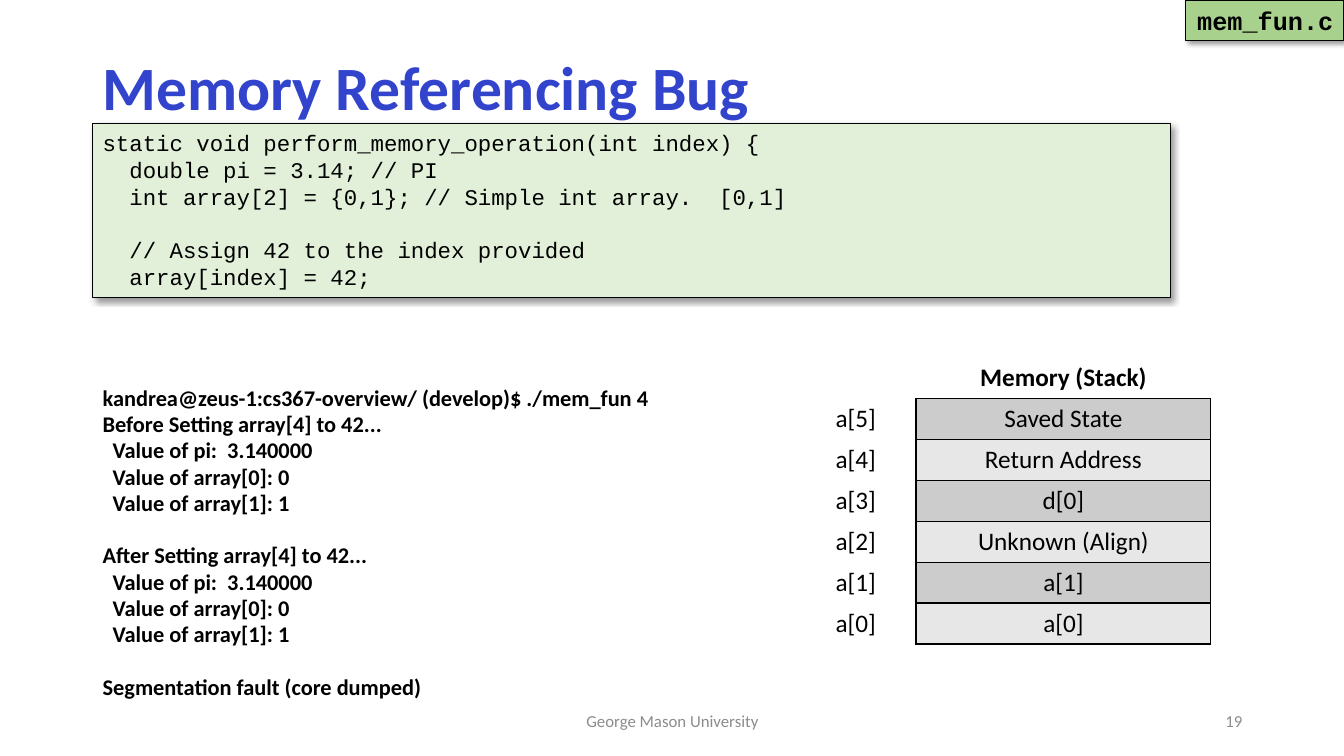
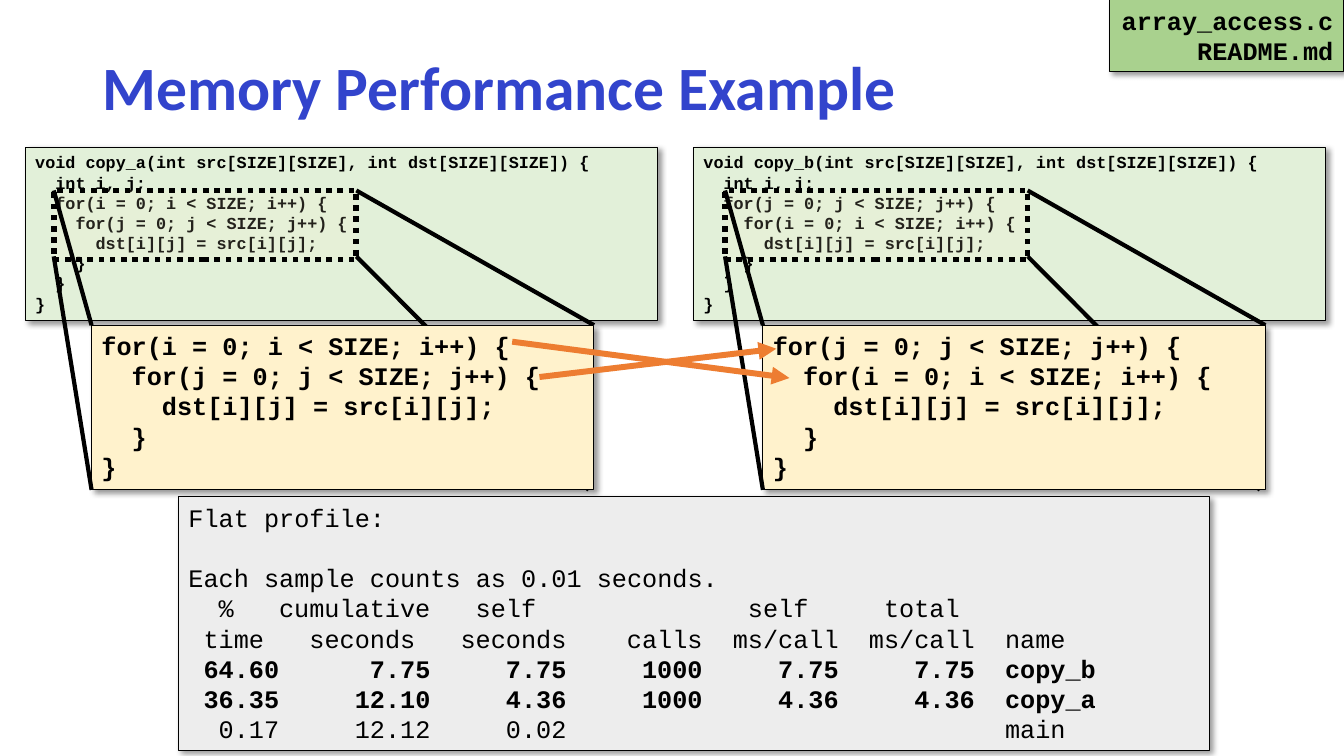
from collections import namedtuple

from lxml.etree import SubElement
from pptx import Presentation
from pptx.dml.color import RGBColor
from pptx.enum.dml import MSO_LINE
from pptx.enum.shapes import MSO_CONNECTOR, MSO_SHAPE
from pptx.enum.text import MSO_ANCHOR, PP_ALIGN
from pptx.oxml.ns import qn
from pptx.util import Inches, Pt

WIDE, HIGH = Inches(13.33), Inches(7.5)
INK = {
    "title": "3244CC", "text": "000000", "foot": "8C8C8C", "line": "000000",
    "tag": "A9D18E", "code": "E2F0D9", "zoom": "FFF2CC", "prof": "EDEDED",
    "arrow": "ED7D31", "dark": "CCCCCC", "light": "E7E7E7", "white": "FFFFFF",
}
SANS, MONO = "Calibri", "Courier New"
CHAR = Inches(0.15)  # width of one 18 pt code character
LEAD = 1.2  # code line pitch per point of size


class Box(namedtuple("Box", "x y w h")):
    """A region in percent of the slide."""

    def emu(self):
        return (round(WIDE * self.x / 100), round(HIGH * self.y / 100),
                round(WIDE * self.w / 100), round(HIGH * self.h / 100))

    def at(self, x, y):
        return self.x + self.w * x, self.y + self.h * y

    def crop(self, x, y, w, h):
        return Box(*self.at(x, y), self.w * w, self.h * h)


TITLE = Box(6.9, 5.33, 86.25, 13.2)
FOOT = Box(33.16, 92.67, 33.76, 5.33)
PAGE = Box(70.67, 92.67, 22.5, 5.33)


def tint(name):
    return RGBColor.from_string(INK[name])


def add_run(par, text, size, font=SANS, color="text", bold=False):
    run = par.add_run()
    run.text = text
    run.font.size = Pt(size)
    run.font.name = font
    run.font.bold = bold
    run.font.color.rgb = tint(color)


def next_par(frame, first):
    return frame.paragraphs[0] if first else frame.add_paragraph()


def add_text(slide, box, anchor=MSO_ANCHOR.TOP):
    frame = slide.shapes.add_textbox(*box.emu()).text_frame
    frame.word_wrap = True
    frame.vertical_anchor = anchor
    return frame


def add_label(slide, box, text, size, color, align, bold=False):
    par = add_text(slide, box, MSO_ANCHOR.MIDDLE).paragraphs[0]
    par.alignment = align
    add_run(par, text, size, color=color, bold=bold)
    return par


def add_title(slide, text):
    par = add_label(slide, TITLE, text, 44, "title", PP_ALIGN.LEFT, True)
    par.line_spacing = 0.9


def add_foot(slide, text, page):
    add_label(slide, FOOT, text, 12, "foot", PP_ALIGN.CENTER)
    add_label(slide, PAGE, page, 12, "foot", PP_ALIGN.RIGHT)


def add_panel(slide, box, fill):
    """Draw a framed box with a soft shadow and return its text frame."""
    shape = slide.shapes.add_shape(MSO_SHAPE.RECTANGLE, *box.emu())
    shape.fill.solid()
    shape.fill.fore_color.rgb = tint(fill)
    shape.line.color.rgb = tint("line")
    shape.line.width = Pt(0.75)
    shape.shadow.inherit = False
    glow = SubElement(
        shape._element.spPr.find(qn("a:effectLst")), qn("a:outerShdw"),
        blurRad=str(Pt(4)), dist=str(Pt(3)), dir="2700000",
        algn="tl", rotWithShape="0")
    shade = SubElement(glow, qn("a:srgbClr"), val=INK["line"])
    SubElement(shade, qn("a:alpha"), val="40000")
    frame = shape.text_frame
    frame.word_wrap = True
    frame.vertical_anchor = MSO_ANCHOR.TOP
    return frame


def add_code(frame, code, size, bold=False, align=PP_ALIGN.LEFT):
    """Write code lines; an empty line becomes space before the next."""
    gap = 0
    for num, line in enumerate(code.split("\n")):
        if not line:
            gap += LEAD * size
            continue
        par = next_par(frame, num == 0)
        par.alignment = align
        par.line_spacing = Pt(LEAD * size)
        par.space_before = Pt(gap)
        add_run(par, line, size, MONO, bold=bold)
        gap = 0


def add_tag(slide, names):
    wide = 1.55 + 1.13 * max(map(len, names))
    box = Box(99.95 - wide, 0, wide, 1.3 + 4.1 * len(names))
    frame = add_panel(slide, box, "tag")
    frame.word_wrap = False
    add_code(frame, "\n".join(names), 18, True, PP_ALIGN.RIGHT)


def add_log(slide, box, blocks):
    """Write blocks of output: a head line, then indented lines."""
    frame = add_text(slide, box)
    for num, lines in enumerate(blocks):
        for row, (line, deep) in enumerate(lines):
            par = next_par(frame, num + row == 0)
            par.line_spacing = 0.9
            if num + row:
                par.space_before = Pt(1.5 if row else 20.25)
            if deep:
                par._p.get_or_add_pPr().set("marL", str(Inches(0.1)))
            add_run(par, line, 16, bold=True)


def add_edge(cell, sides):
    props = cell._tc.get_or_add_tcPr()
    for side in sides:
        edge = SubElement(props, qn("a:ln" + side), w=str(Pt(1)))
        fill = SubElement(edge, qn("a:solidFill"))
        SubElement(fill, qn("a:srgbClr"), val=INK["line"])


def add_stack(slide, box, head, rows):
    grid = slide.shapes.add_table(len(rows) + 1, 2, *box.emu()).table
    grid.first_row = grid.horz_banding = False
    wide = box.emu()[2]
    grid.columns[0].width = round(wide * 0.29)
    grid.columns[1].width = wide - grid.columns[0].width
    for num, row in enumerate([("", head), *rows]):
        shade = ("light", "dark")[num % 2] if num else "white"
        edges = ("R", "LRTB") if num else ("", "B")
        for col, text in enumerate(row):
            cell = grid.cell(num, col)
            add_edge(cell, edges[col])
            cell.fill.solid()
            cell.fill.fore_color.rgb = tint(shade if col else "white")
            par = cell.text_frame.paragraphs[0]
            par.alignment = PP_ALIGN.CENTER
            if text:
                add_run(par, text, 18, bold=num == 0)


def add_line(slide, start, end, color="line", width=3, head=False):
    ends = [round(size * share / 100) for point in (start, end)
            for size, share in zip((WIDE, HIGH), point)]
    link = slide.shapes.add_connector(MSO_CONNECTOR.STRAIGHT, *ends)
    link.line.color.rgb = tint(color)
    link.line.width = Pt(width)
    if head:
        SubElement(link.line._get_or_add_ln(), qn("a:tailEnd"),
                   type="triangle")
    SubElement(link._element.spPr, qn("a:effectLst"))


def add_lens(slide, box):
    """Draw the dotted frame that marks the enlarged lines."""
    shape = slide.shapes.add_shape(MSO_SHAPE.RECTANGLE, *box.emu())
    shape.fill.solid()
    shape.fill.fore_color.rgb = tint("zoom")
    color = shape._element.spPr.find(qn("a:solidFill"))[0]
    SubElement(color, qn("a:alpha"), val="14000")
    shape.line.color.rgb = tint("line")
    shape.line.width = Pt(4)
    shape.line.dash_style = MSO_LINE.ROUND_DOT
    shape.shadow.inherit = False


def add_zoom(slide, box, code):
    left, top, lens, low = 0.07, 0.45, 0.56, 0.22
    add_line(slide, box.at(1, top), box.at(lens, 0))
    add_line(slide, box.at(0.99, 1), box.at(lens, low))
    add_lens(slide, box.crop(0, 0, lens, 0.23))
    frame = add_panel(slide, box.crop(left, top, 1 - left, 1 - top), "zoom")
    add_code(frame, code, 18, True)
    add_line(slide, box.at(left, top), box.at(0, 0))
    add_line(slide, box.at(left, 1), box.at(0, low))


def add_loops(slide, name, box, zoom, outer, inner):
    """Show one copy function and its enlarged loops."""
    loop = "for({0} = 0; {0} < SIZE; {0}++) {{"
    lines = [loop.format(outer), "  " + loop.format(inner),
             "    dst[i][j] = src[i][j];", "  }", "}"]
    head = f"void {name}(int src[SIZE][SIZE], int dst[SIZE][SIZE]) {{"
    body = ["  " + line for line in ["int i, j;", *lines]]
    add_code(add_panel(slide, box, "code"),
             "\n".join([head, *body, "}"]), 12, True)
    add_zoom(slide, zoom, "\n".join(lines))


def add_tabs(par, stops):
    tabs = SubElement(par._p.get_or_add_pPr(), qn("a:tabLst"))
    for stop, align in stops:
        SubElement(tabs, qn("a:tab"), pos=str(CHAR * stop), algn=align)


def add_prof(slide, box, intro, rows):
    """Write a profile whose cells end at given character columns."""
    frame = add_panel(slide, box, "prof")
    add_code(frame, intro, 18)
    for cells, ends, name, bold in rows:
        par = frame.add_paragraph()
        par.alignment = PP_ALIGN.LEFT
        stops = [(end, "r") for end in ends]
        if name:
            stops.append((54, "l"))
            cells = [*cells, name]
        add_tabs(par, stops)
        par.line_spacing = Pt(LEAD * 18)
        add_run(par, "".join("\t" + cell for cell in cells), 18, MONO,
                bold=bold)


BUG = """static void perform_memory_operation(int index) {
  double pi = 3.14; // PI
  int array[2] = {0,1}; // Simple int array.  [0,1]

  // Assign 42 to the index provided
  array[index] = 42;"""


def make_bug(slide):
    add_title(slide, "Memory Referencing Bug")
    vals = [(line, True) for line in (
        "Value of pi:  3.140000", "Value of array[0]: 0",
        "Value of array[1]: 1")]
    add_log(slide, Box(6.9, 50.53, 43.13, 45.33), [
        [("kandrea@zeus-1:cs367-overview/ (develop)$ ./mem_fun 4", False),
         ("Before Setting array[4] to 42...", False), *vals],
        [("After Setting array[4] to 42...", False), *vals],
        [("Segmentation fault (core dumped)", False)]])
    add_foot(slide, "George Mason University", "19")
    add_tag(slide, ["mem_fun.c"])
    add_code(add_panel(slide, Box(6.9, 16.4, 80.2, 22.93), "code"), BUG, 16)
    names = ["Saved State", "Return Address", "d[0]", "Unknown (Align)",
             "a[1]", "a[0]"]
    add_stack(slide, Box(59.19, 47.33, 30.9, 37.87), "Memory (Stack)",
              [(f"a[{5 - num}]", name) for num, name in enumerate(names)])


def make_perf(slide):
    add_title(slide, "Memory Performance Example")
    add_tag(slide, ["array_access.c", "README.md"])
    for name, left, lens, loops in (("copy_a", 1.88, 4, "ij"),
                                    ("copy_b", 51.6, 53.95, "ji")):
        add_loops(slide, name, Box(left, 19.47, 47.04, 22.93),
                  Box(lens, 25.2, 40.2, 39.6), *loops)
    ends = (6, 16, 25, 34, 43, 52)
    add_prof(
        slide, Box(13.28, 65.73, 76.74, 33.6),
        "Flat profile:\n\nEach sample counts as 0.01 seconds.", [
            (("%", "cumulative", "self", "self", "total"),
             (3, 16, 23, 41, 51), "", False),
            (("time", "seconds", "seconds", "calls", "ms/call", "ms/call"),
             (5, 15, *ends[2:]), "name", False),
            (("64.60", "7.75", "7.75", "1000", "7.75", "7.75"),
             ends, "copy_b", True),
            (("36.35", "12.10", "4.36", "1000", "4.36", "4.36"),
             ends, "copy_a", True),
            (("0.17", "12.12", "0.02"), ends[:3], "main", False)])
    for start, end in (((38.11, 45.2), (58.74, 50)),
                       ((40.14, 49.87), (57.76, 46.13))):
        add_line(slide, start, end, "arrow", 4.25, True)


def main():
    deck = Presentation()
    deck.slide_width, deck.slide_height = WIDE, HIGH
    for make in (make_bug, make_perf):
        make(deck.slides.add_slide(deck.slide_layouts[6]))
    deck.save("out.pptx")


if __name__ == "__main__":
    main()
